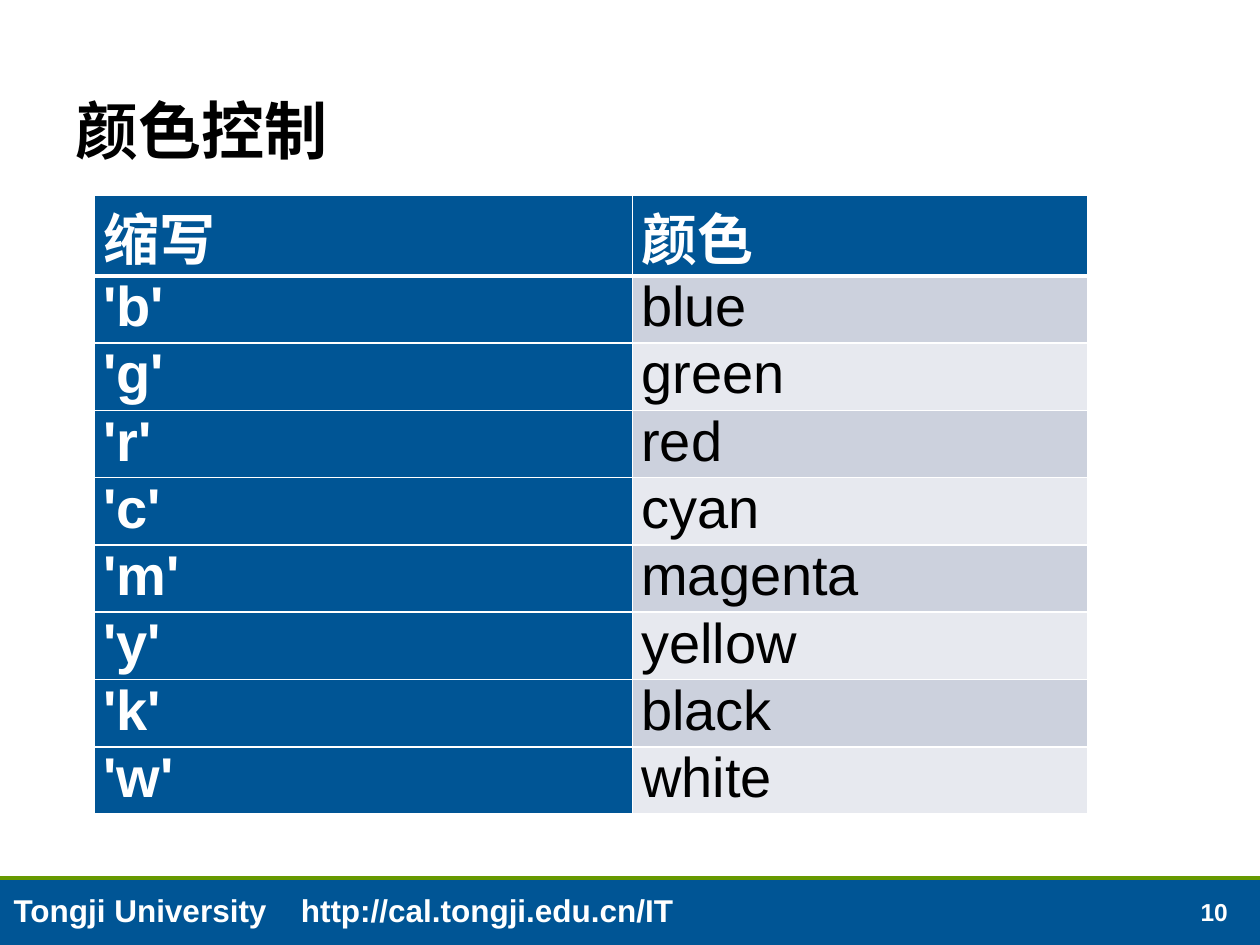
"""Build the colour control slide with its table of colour abbreviations."""
import lxml.etree
import pptx
import pptx.dml.color
import pptx.enum.shapes
import pptx.enum.text
import pptx.oxml.ns
import pptx.util

Inches = pptx.util.Inches
Pt = pptx.util.Pt
RGBColor = pptx.dml.color.RGBColor
Anchor = pptx.enum.text.MSO_ANCHOR
AutoSize = pptx.enum.text.MSO_AUTO_SIZE
qn = pptx.oxml.ns.qn

BLUE = RGBColor(0x00, 0x55, 0x95)
GREEN = RGBColor(0x66, 0x99, 0x00)
WHITE = RGBColor(0xFF, 0xFF, 0xFF)
BLACK = RGBColor(0x00, 0x00, 0x00)
DARK_BAND = RGBColor(0xCC, 0xD1, 0xDD)
LIGHT_BAND = RGBColor(0xE7, 0xE9, 0xEF)


def write_text(text_frame, text, size, color, bold, frame_format):
    for name, value in frame_format.items():
        setattr(text_frame, name, value)
    paragraph = text_frame.paragraphs[0]
    run = paragraph.add_run()
    run.text = text
    run.font.color.rgb = color
    for name, value in {"name": "Arial", "size": Pt(size), "bold": bold}.items():
        setattr(run.font, name, value)
    return paragraph


def add_border(cell, side, width):
    line = lxml.etree.SubElement(cell._tc.get_or_add_tcPr(), qn(f"a:ln{side}"), w=str(Pt(width)))
    fill = lxml.etree.SubElement(line, qn("a:solidFill"))
    lxml.etree.SubElement(fill, qn("a:srgbClr"), val=str(WHITE))


presentation = pptx.Presentation()
presentation.slide_width = Inches(10)
presentation.slide_height = Inches(7.5)
slide = presentation.slides.add_slide(presentation.slide_layouts[6])

footer_top = Inches(6.97)
footer_bar = slide.shapes.add_shape(
    pptx.enum.shapes.MSO_SHAPE.RECTANGLE, 0, footer_top, Inches(10), Inches(0.53))
footer_bar.shadow.inherit = False
footer_bar.fill.solid()
footer_bar.fill.fore_color.rgb = BLUE
footer_bar.line.fill.background()

footer_line = slide.shapes.add_connector(
    pptx.enum.shapes.MSO_CONNECTOR.STRAIGHT, 0, footer_top, Inches(10), footer_top)
footer_line.line.color.rgb = GREEN
footer_line.line.width = Pt(2)
lxml.etree.SubElement(footer_line._element.spPr, qn("a:effectLst"))

number_box = slide.shapes.add_textbox(Inches(9.43), Inches(7.06), Inches(0.53), Inches(0.34))
write_text(number_box.text_frame, "10", 14, WHITE, True, {
    "word_wrap": False, "vertical_anchor": Anchor.BOTTOM,
    "auto_size": AutoSize.SHAPE_TO_FIT_TEXT})

footer_box = slide.shapes.add_textbox(Inches(0.01), Inches(7.02), Inches(7.04), Inches(0.4))
footer_text = write_text(
    footer_box.text_frame, "Tongji University\thttp://cal.tongji.edu.cn/IT", 18, WHITE, True,
    {"word_wrap": True, "auto_size": AutoSize.SHAPE_TO_FIT_TEXT})
tab_stops = lxml.etree.SubElement(footer_text._p.get_or_add_pPr(), qn("a:tabLst"))
lxml.etree.SubElement(tab_stops, qn("a:tab"), pos=str(Inches(2.28)), algn="l")

title_box = slide.shapes.add_textbox(Inches(0.5), Inches(0.17), Inches(9), Inches(1.22))
title = write_text(title_box.text_frame, "颜色控制", 36, BLACK, True, {
    "word_wrap": True, "vertical_anchor": Anchor.BOTTOM, "auto_size": AutoSize.NONE})
title.line_spacing = 0.95

color_rows = [
    ("缩写", "颜色"),
    ("'b'", "blue"),
    ("'g'", "green"),
    ("'r'", "red"),
    ("'c'", "cyan"),
    ("'m'", "magenta"),
    ("'y'", "yellow"),
    ("'k'", "black"),
    ("'w'", "white"),
]
cell_format = {
    "margin_left": Inches(0.07), "margin_right": Inches(0.07),
    "margin_top": 0, "margin_bottom": 0,
}
header_height = Inches(0.64)
row_height = Inches(0.53)
table_height = header_height + row_height * (len(color_rows) - 1)
table = slide.shapes.add_table(
    len(color_rows), 2, Inches(0.75), Inches(1.55), Inches(7.88), table_height).table
table.first_col = True
for column, width in zip(table.columns, (4.27, 3.61)):
    column.width = Inches(width)

for row_index, row_texts in enumerate(color_rows):
    table.rows[row_index].height = row_height if row_index else header_height
    for column_index, text in enumerate(row_texts):
        cell = table.cell(row_index, column_index)
        for name, value in cell_format.items():
            setattr(cell, name, value)
        border_widths = {
            "L": 1, "R": 1,
            "T": 3 if row_index == 1 else 1,
            "B": 3 if row_index == 0 else 1,
        }
        for side, width in border_widths.items():
            add_border(cell, side, width)
        is_heading = row_index == 0 or column_index == 0
        band = DARK_BAND if row_index % 2 else LIGHT_BAND
        cell.fill.solid()
        cell.fill.fore_color.rgb = BLUE if is_heading else band
        write_text(cell.text_frame, text, 32, WHITE if is_heading else BLACK, is_heading, {})

presentation.save("out.pptx")
